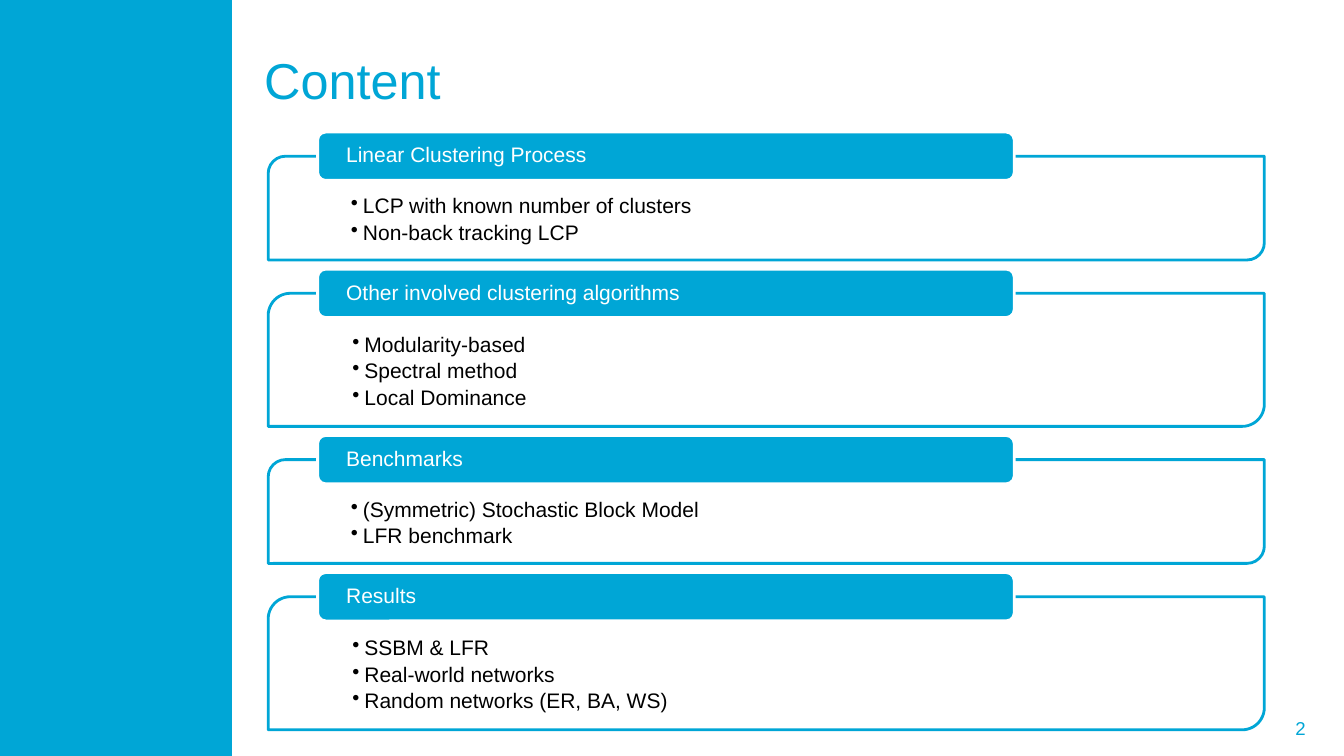
from lxml.etree import SubElement
from pptx import Presentation
from pptx.dml.color import RGBColor
from pptx.enum.shapes import MSO_SHAPE as Shape
from pptx.enum.text import MSO_ANCHOR as Anchor, MSO_AUTO_SIZE as AutoSize, PP_ALIGN as Align
from pptx.oxml.ns import qn
from pptx.util import Inches, Pt

TITLE = "Content"
PAGE_NUMBER = "2"
SECTIONS = [
    ("Linear Clustering Process",
     ["LCP with known number of clusters", "Non-back tracking LCP"]),
    ("Other involved clustering algorithms",
     ["Modularity-based", "Spectral method", "Local Dominance"]),
    ("Benchmarks",
     ["(Symmetric) Stochastic Block Model", "LFR benchmark"]),
    ("Results",
     ["SSBM & LFR", "Real-world networks", "Random networks (ER, BA, WS)"]),
]
COLORS = {"cyan": "00A6D6", "white": "FFFFFF", "black": "000000"}
FONT = "Arial"

FRAME_LEFT, FRAME_WIDTH, FIRST_TOP = 2.66, 9.88, 1.55
FRAME_BASE, ITEM_HEIGHT, FRAME_GAP = 0.45, 0.29, 0.33
TAB_LEFT, TAB_WIDTH, TAB_HEIGHT, TAB_RISE = 3.15, 6.91, 0.48, 0.24
BULLET_INDENT = 0.12


def color(name):
    return RGBColor.from_string(COLORS[name])


def add_bullet(para):
    properties = para._p.get_or_add_pPr()
    properties.set("marL", str(Inches(BULLET_INDENT)))
    properties.set("indent", str(-Inches(BULLET_INDENT)))
    SubElement(properties, qn("a:buChar"), char="•")


def write(box, lines, size=15, ink="black", align=Align.LEFT, anchor=Anchor.MIDDLE,
          margins=(0.1, 0.05), bottom=None, spacing=None, after=None, bullets=False):
    """Fill a shape with one paragraph per line; margins are side and top."""
    frame = box.text_frame
    frame.word_wrap = True
    frame.auto_size = AutoSize.NONE
    frame.vertical_anchor = anchor
    side, top = margins
    frame.margin_left = frame.margin_right = Inches(side)
    frame.margin_top = Inches(top)
    frame.margin_bottom = Inches(top if bottom is None else bottom)
    for index, line in enumerate(lines):
        para = frame.add_paragraph() if index else frame.paragraphs[0]
        para.alignment = align
        if spacing:
            para.line_spacing = spacing
        if after:
            para.space_after = Pt(after)
        if bullets:
            add_bullet(para)
        span = para.add_run()
        span.text = line
        span.font.name = FONT
        span.font.size = Pt(size)
        span.font.color.rgb = color(ink)


def add_box(page, kind, left, top, width, height, fill, line=None):
    box = page.shapes.add_shape(kind, Inches(left), Inches(top), Inches(width), Inches(height))
    box.shadow.inherit = False
    box.fill.solid()
    box.fill.fore_color.rgb = color(fill)
    if line:
        box.line.color.rgb = color(line)
        box.line.width = Pt(2)
    else:
        box.line.fill.background()
    return box


def add_section(page, top, heading, items):
    """Draw a framed list with its heading tab and return the frame height."""
    height = FRAME_BASE + ITEM_HEIGHT * len(items)
    frame = add_box(page, Shape.ROUND_2_DIAG_RECTANGLE, FRAME_LEFT, top,
                    FRAME_WIDTH, height, "white", "cyan")
    write(frame, items, anchor=Anchor.TOP, margins=(0.77, 0.34), bottom=0.12,
          spacing=0.9, after=2.7, bullets=True)
    tab = add_box(page, Shape.ROUNDED_RECTANGLE, TAB_LEFT, top - TAB_RISE,
                  TAB_WIDTH, TAB_HEIGHT, "cyan", "white")
    write(tab, [heading], ink="white", margins=(0.26, 0), spacing=0.9)
    return height


def main():
    deck = Presentation()
    deck.slide_width, deck.slide_height = Inches(13.33), Inches(7.5)
    page = deck.slides.add_slide(deck.slide_layouts[5])

    add_box(page, Shape.RECTANGLE, 0, 0, 2.3, 7.5, "cyan")
    title = page.shapes.title
    title.left, title.top = Inches(2.52), Inches(0.16)
    title.width, title.height = Inches(10.36), Inches(1.25)
    write(title, [TITLE], size=36, ink="cyan")

    top = FIRST_TOP
    for heading, items in SECTIONS:
        top += add_section(page, top, heading, items) + FRAME_GAP

    number = page.shapes.add_textbox(Inches(9.7), Inches(7.02), Inches(3.38), Inches(0.4))
    write(number, [PAGE_NUMBER], size=13.3, ink="cyan", align=Align.RIGHT,
          margins=(0.13, 0.07))
    deck.save("out.pptx")


if __name__ == "__main__":
    main()
